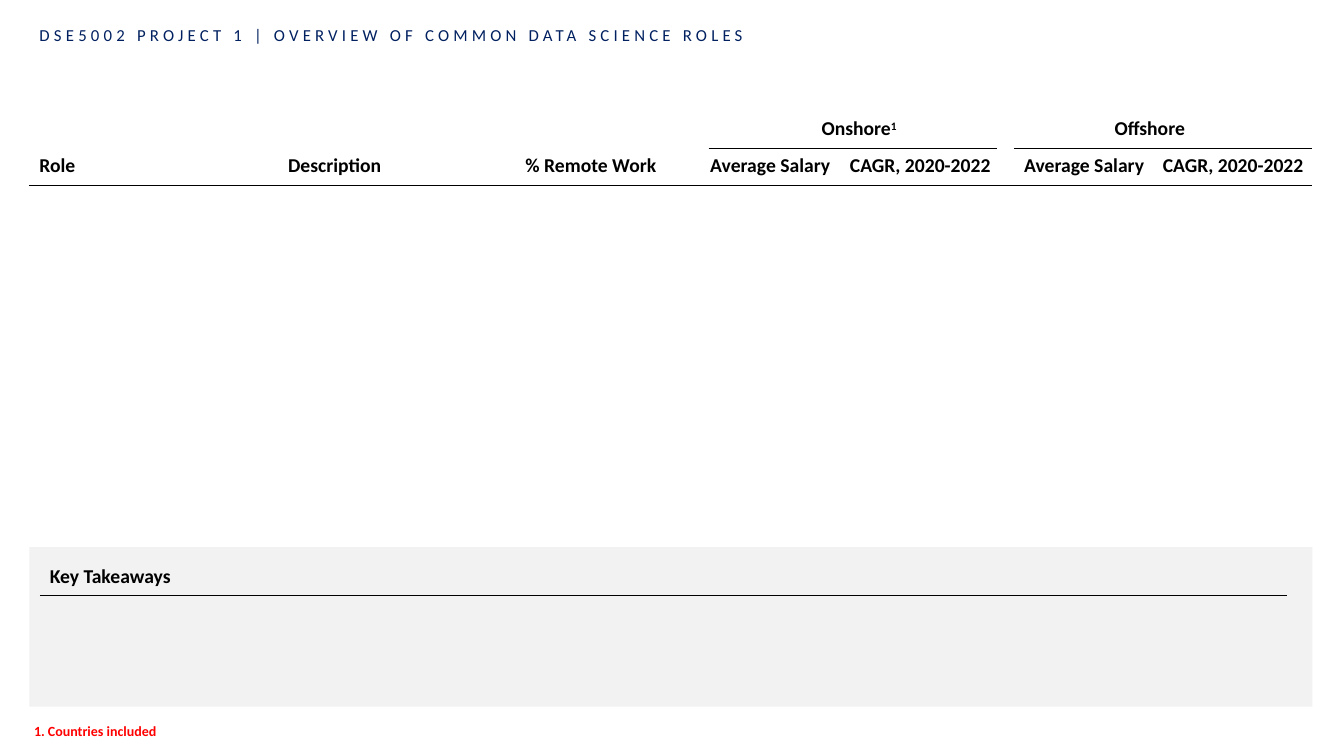
from dataclasses import dataclass

from lxml.etree import SubElement
from pptx import Presentation
from pptx.dml.color import RGBColor
from pptx.enum.shapes import MSO_CONNECTOR, MSO_SHAPE
from pptx.enum.text import MSO_ANCHOR, MSO_AUTO_SIZE, PP_ALIGN
from pptx.oxml.ns import qn
from pptx.slide import Slide
from pptx.text.text import Font
from pptx.util import Emu, Pt


@dataclass(frozen=True)
class Theme:
    font: str = "Calibri"
    title_size: int = 12
    heading_size: int = 14
    footnote_size: int = 10
    rule_width: float = 0.5
    navy: str = "002060"
    black: str = "000000"
    red: str = "FF0000"
    panel: str = "F2F2F2"


@dataclass(frozen=True)
class Label:
    text: str
    left: int
    top: int
    width: int
    height: int = 33
    size: int = Theme.heading_size
    color: str = Theme.black
    superscript: str = ""


@dataclass(frozen=True)
class Rule:
    left: int
    right: int
    top: int


THEME = Theme()
LEFT, RIGHT = 28, 1250
REGION_TOP, COLUMN_TOP, HEADER_BOTTOM = 106, 141, 177
PANEL_TOP, PANEL_HEIGHT = 521, 152

LABELS = [
    Label("Role", LEFT, COLUMN_TOP, 71),
    Label("Description", 265, COLUMN_TOP, 110),
    Label("% Remote Work", 491, COLUMN_TOP, 149),
    Label("Onshore", 773, REGION_TOP, 95, superscript="1"),
    Label("Offshore", 1052, REGION_TOP, 103),
    *(Label("Average Salary", left, COLUMN_TOP, 139) for left in (667, 966)),
    *(Label("CAGR, 2020-2022", left, COLUMN_TOP, 156) for left in (800, 1098)),
    Label("Key Takeaways", 38, 532, 143),
    Label("1. Countries included", 23, 683, 143, 26, THEME.footnote_size, THEME.red),
]

RULES = [
    Rule(LEFT, RIGHT, HEADER_BOTTOM),
    Rule(675, 950, COLUMN_TOP),
    Rule(966, RIGHT, COLUMN_TOP),
    Rule(38, 1226, 567),
]


def px(length: int) -> Emu:
    return Emu(length * 9525)


def style_font(font: Font, size: int, color: str, bold: bool) -> None:
    font.name = THEME.font
    font.size = Pt(size)
    font.bold = bold
    font.color.rgb = RGBColor.from_string(color)


def set_title(slide: Slide, text: str) -> None:
    title = slide.shapes.title
    title.left, title.top, title.width, title.height = px(LEFT), px(14), px(1180), px(34)
    frame = title.text_frame
    frame.text = text
    frame.vertical_anchor = MSO_ANCHOR.BOTTOM
    frame.auto_size = MSO_AUTO_SIZE.NONE
    heading = frame.paragraphs[0]
    heading.alignment = PP_ALIGN.LEFT
    heading.line_spacing = 0.9
    heading.space_before = Pt(10)
    style_font(heading.font, THEME.title_size, THEME.navy, False)
    heading.runs[0].font._element.set("spc", "300")


def add_label(slide: Slide, label: Label) -> None:
    box = slide.shapes.add_textbox(
        px(label.left), px(label.top), px(label.width), px(label.height)
    )
    frame = box.text_frame
    frame.word_wrap = True
    frame.auto_size = MSO_AUTO_SIZE.SHAPE_TO_FIT_TEXT
    paragraph = frame.paragraphs[0]
    paragraph.add_run().text = label.text
    style_font(paragraph.font, label.size, label.color, True)
    if label.superscript:
        marker = paragraph.add_run()
        marker.text = label.superscript
        marker.font._element.set("baseline", "30000")


def add_rule(slide: Slide, rule: Rule) -> None:
    line = slide.shapes.add_connector(
        MSO_CONNECTOR.STRAIGHT, px(rule.left), px(rule.top), px(rule.right), px(rule.top)
    )
    line.line.color.rgb = RGBColor.from_string(THEME.black)
    line.line.width = Pt(THEME.rule_width)
    SubElement(line._element.spPr, qn("a:effectLst"))


def add_takeaways_panel(slide: Slide) -> None:
    panel = slide.shapes.add_shape(
        MSO_SHAPE.RECTANGLE, px(LEFT), px(PANEL_TOP), px(RIGHT - LEFT), px(PANEL_HEIGHT)
    )
    panel.shadow.inherit = False
    panel.fill.solid()
    panel.fill.fore_color.rgb = RGBColor.from_string(THEME.panel)
    panel.line.fill.background()


def main() -> None:
    deck = Presentation()
    deck.slide_width, deck.slide_height = px(1280), px(720)
    slide = deck.slides.add_slide(deck.slide_layouts[5])
    set_title(slide, "DSE5002 PROJECT 1 | OVERVIEW OF COMMON DATA SCIENCE ROLES")
    add_takeaways_panel(slide)
    for rule in RULES:
        add_rule(slide, rule)
    for label in LABELS:
        add_label(slide, label)
    deck.save("out.pptx")


if __name__ == "__main__":
    main()
